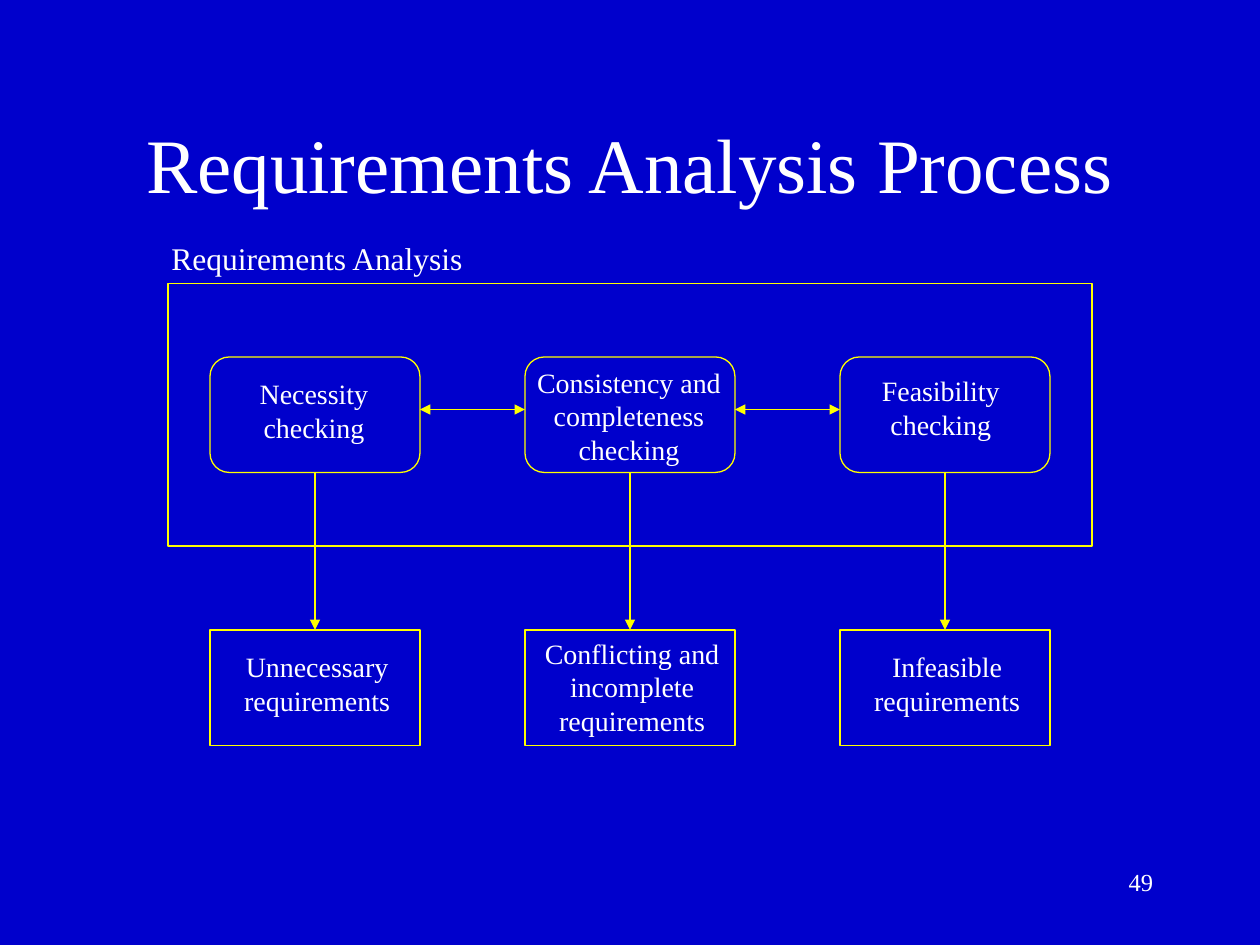
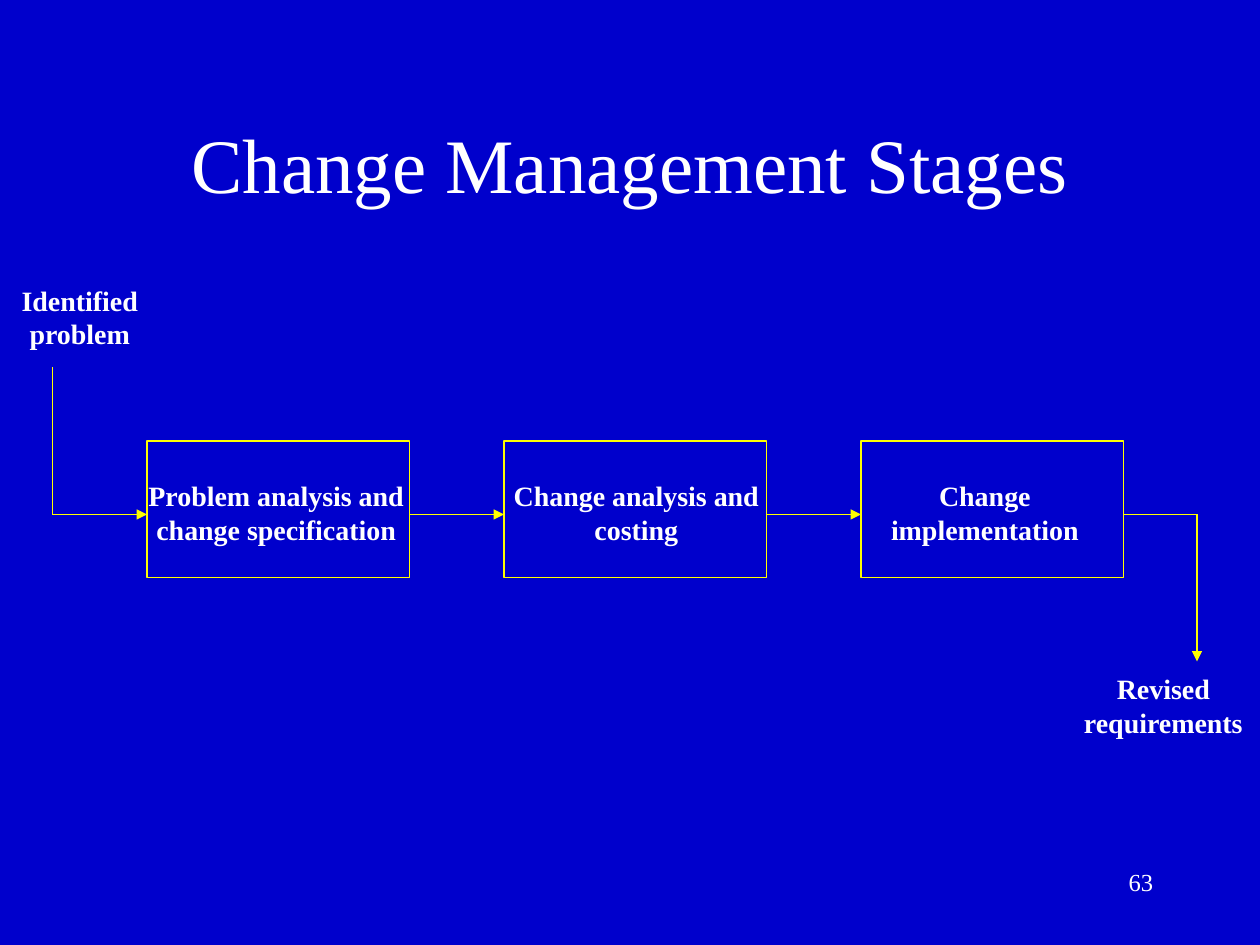
from pptx import Presentation
from pptx.dml.color import RGBColor
from pptx.enum.shapes import MSO_CONNECTOR, MSO_SHAPE
from pptx.enum.text import MSO_ANCHOR, MSO_AUTO_SIZE, PP_ALIGN
from pptx.oxml.ns import qn
from pptx.util import Pt
from lxml.etree import SubElement

PX = 7620
COLORS = {"back": "0000CC", "line": "FFFF00", "text": "FFFFFF"}
FONT = "Times New Roman"
TOP, LEFT, BOTTOM, RIGHT = range(4)


def color(name):
    return RGBColor.from_string(COLORS[name])


def write(tf, text, size=16, bold=False, align=PP_ALIGN.CENTER):
    for i, line in enumerate(text.split("\n")):
        p = tf.paragraphs[0] if i == 0 else tf.add_paragraph()
        p.alignment = align
        r = p.add_run()
        r.text = line
        r.font.name = FONT
        r.font.size = Pt(size)
        r.font.bold = bold
        r.font.color.rgb = color("text")


class Deck:
    def __init__(self, width, height):
        self.prs = Presentation()
        self.prs.slide_width = width * PX
        self.prs.slide_height = height * PX

    def slide(self, title, number):
        self.s = self.prs.slides.add_slide(self.prs.slide_layouts[6])
        fill = self.s.background.fill
        fill.solid()
        fill.fore_color.rgb = color("back")
        tf = self.text(title, 90, 80, 1020, 150, size=44)
        tf.vertical_anchor = MSO_ANCHOR.MIDDLE
        self.text(number, 860, 820, 250, 60, size=14, align=PP_ALIGN.RIGHT)

    def text(self, text, x, y, w, h, **style):
        tf = self.s.shapes.add_textbox(x * PX, y * PX, w * PX, h * PX).text_frame
        tf.word_wrap = True
        write(tf, text, **style)
        return tf

    def label(self, text, center, y, w, size=16, bold=False):
        h = 12 + 2 * size * len(text.split("\n"))
        tf = self.text(text, center - w // 2, y, w, h, size=size, bold=bold)
        tf.word_wrap = False
        tf.auto_size = MSO_AUTO_SIZE.SHAPE_TO_FIT_TEXT

    def box(self, x, y, w, h, kind=MSO_SHAPE.RECTANGLE):
        sp = self.s.shapes.add_shape(kind, x * PX, y * PX, w * PX, h * PX)
        sp.shadow.inherit = False
        sp.fill.background()
        sp.line.color.rgb = color("line")
        sp.line.width = Pt(0.75)
        return sp

    def line(self, x1, y1, x2, y2, ends=()):
        c = self.s.shapes.add_connector(
            MSO_CONNECTOR.STRAIGHT, x1 * PX, y1 * PX, x2 * PX, y2 * PX)
        c.line.color.rgb = color("line")
        c.line.width = Pt(0.75)
        for end in ends:
            SubElement(c.line._ln, qn(f"a:{end}"), type="triangle")
        SubElement(c._element.spPr, qn("a:effectLst"))
        return c

    def arrow(self, *points):
        return self.line(*points, ends=["tailEnd"])

    def double_arrow(self, *points):
        return self.line(*points, ends=["headEnd", "tailEnd"])


def analysis_process(deck):
    deck.slide("Requirements Analysis Process", "49")
    deck.label("Requirements Analysis", 302, 222, 314, size=18)
    deck.box(160, 270, 880, 250)

    w, h, check_y, result_y, arrow_y = 200, 110, 340, 600, 390
    lefts = [200 + 300 * i for i in range(3)]
    for x in lefts:
        check = deck.box(x, check_y, w, h, MSO_SHAPE.ROUNDED_RECTANGLE)
        result = deck.box(x, result_y, w, h)
        middle = x + w // 2
        c = deck.arrow(middle, check_y + h, middle, result_y)
        c.begin_connect(check, BOTTOM)
        c.end_connect(result, TOP)
    for x, following in zip(lefts, lefts[1:]):
        deck.double_arrow(x + w, arrow_y, following, arrow_y)

    for label in [
        ("Necessity\nchecking", 299, 353, 140),
        ("Consistency and\ncompleteness\nchecking", 599, 342, 212),
        ("Feasibility\nchecking", 896, 350, 148),
        ("Unnecessary\nrequirements", 302, 613, 174),
        ("Conflicting and\nincomplete\nrequirements", 602, 600, 202),
        ("Infeasible\nrequirements", 902, 613, 174),
    ]:
        deck.label(*label)


def change_stages(deck):
    deck.slide("Change Management Stages", "63")
    w, h, y, flow_y = 250, 130, 420, 490
    start_x, end_x = 50, 1140
    lefts = [140 + 340 * i for i in range(3)]
    for x in lefts:
        deck.box(x, y, w, h)
    for x, following in zip(lefts, lefts[1:]):
        deck.arrow(x + w, flow_y, following, flow_y)

    deck.line(start_x, 350, start_x, flow_y)
    deck.arrow(start_x, flow_y, lefts[0], flow_y)
    deck.line(lefts[-1] + w, flow_y, end_x, flow_y)
    deck.arrow(end_x, flow_y, end_x, 630)

    for label in [
        ("Identified\nproblem", 76, 264, 146),
        ("Problem analysis and\nchange specification", 263, 450, 280),
        ("Change analysis and\ncosting", 606, 450, 268),
        ("Change\nimplementation", 938, 450, 214),
        ("Revised\nrequirements", 1108, 634, 184),
    ]:
        deck.label(*label, bold=True)


def main():
    deck = Deck(1200, 900)
    analysis_process(deck)
    change_stages(deck)
    deck.prs.save("out.pptx")


if __name__ == "__main__":
    main()
